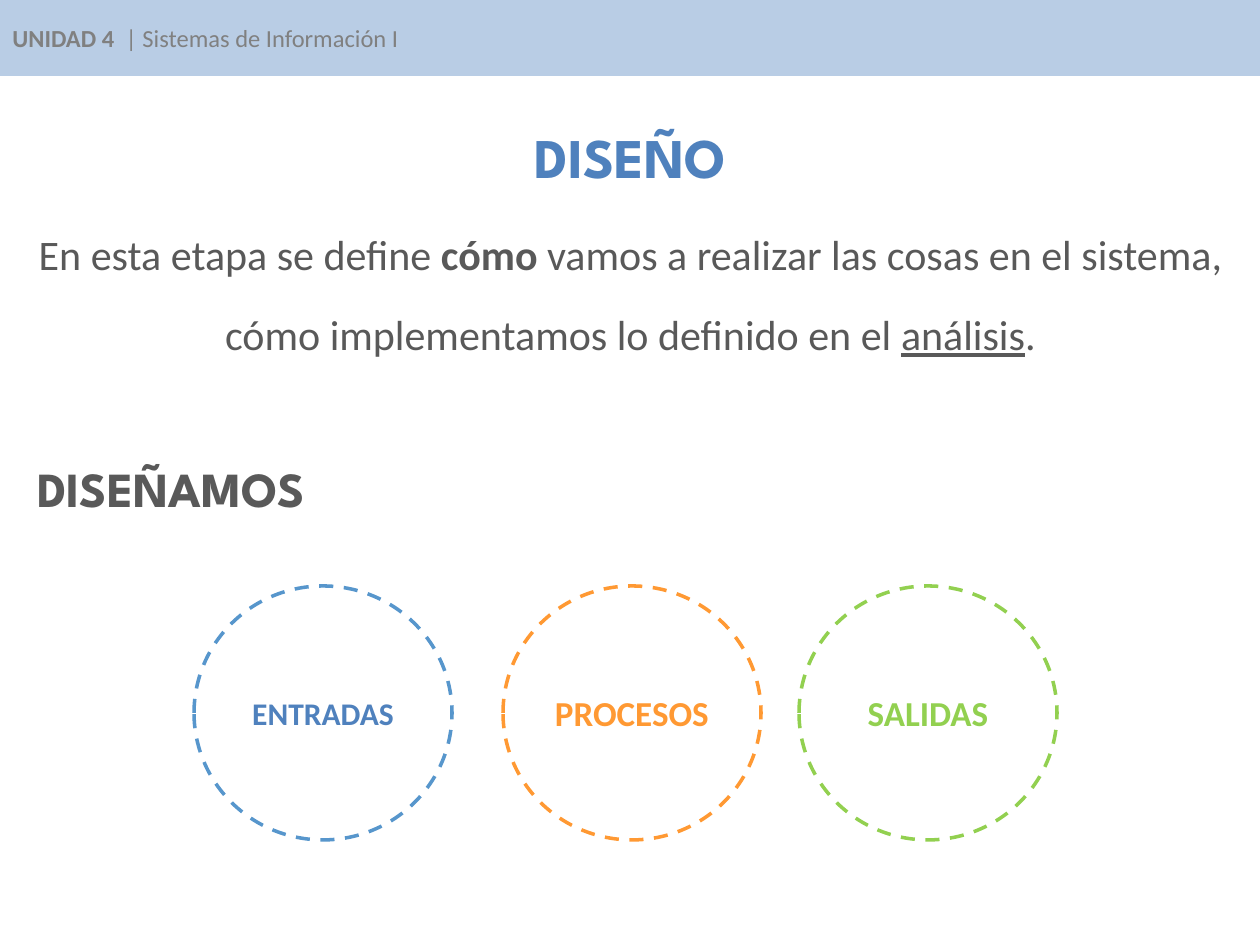
from pptx import Presentation
from pptx.dml.color import RGBColor
from pptx.enum.dml import MSO_LINE
from pptx.enum.shapes import MSO_SHAPE as Shape
from pptx.enum.text import MSO_ANCHOR as Anchor, PP_ALIGN as Align
from pptx.util import Emu, Pt

PX = 914400 // 126  # EMU per px
SLIDE = (1260, 945)

WHITE = RGBColor(0xFF, 0xFF, 0xFF)
PALE_BLUE = RGBColor(0xB9, 0xCD, 0xE5)
BLUE = RGBColor(0x4F, 0x81, 0xBD)
RING_BLUE = RGBColor(0x57, 0x96, 0xCC)
ORANGE = RGBColor(0xFF, 0x99, 0x33)
GREEN = RGBColor(0x92, 0xD0, 0x50)
GREY = RGBColor(0x80, 0x80, 0x80)
DARK = RGBColor(0x59, 0x59, 0x59)
BODY_FONT, TITLE_FONT = "Calibri", "League Spartan"

# Each run is (text, style), where style is "", "b" (bold) or "u" (underlined)
HEADER = [("UNIDAD 4  ", "b"), ("| Sistemas de Información I", "")]
TITLE = [("DISEÑO", "b")]
DEFINITION = [
    ("En esta etapa se define ", ""),
    ("cómo", "b"),
    (" vamos a realizar las cosas en el sistema, "
     "cómo implementamos lo definido en el ", ""),
    ("análisis", "u"),
    (".", ""),
]
SUBTITLE = [("DISEÑAMOS", "b")]

# label, left, text size, ring colour, text colour
CIRCLES = [
    ("ENTRADAS", 194, 18, RING_BLUE, BLUE),
    ("PROCESOS", 503, 20, ORANGE, ORANGE),
    ("SALIDAS", 799, 20, GREEN, GREEN),
]
CIRCLE_TOP, CIRCLE_WIDTH, CIRCLE_HEIGHT = 586, 258, 254


def px(*lengths):
    return [Emu(length * PX) for length in lengths]


def write(para, runs, size, color, font=BODY_FONT, align=Align.CENTER,
          before=0, spacing=1.0):
    para.alignment = align
    para.space_before = Pt(before)
    para.line_spacing = spacing
    for text, style in runs:
        span = para.add_run()
        span.text = text
        span.font.name = font
        span.font.size = Pt(size)
        span.font.color.rgb = color
        span.font.bold = style == "b"
        span.font.underline = style == "u"


def add_filled(slide, kind, place, fill):
    shape = slide.shapes.add_shape(kind, *px(*place))
    shape.shadow.inherit = False
    shape.fill.solid()
    shape.fill.fore_color.rgb = fill
    shape.line.fill.background()
    shape.text_frame.word_wrap = True
    shape.text_frame.vertical_anchor = Anchor.MIDDLE
    return shape


def main():
    deck = Presentation()
    deck.slide_width, deck.slide_height = px(*SLIDE)
    slide = deck.slides.add_slide(deck.slide_layouts[6])

    header = add_filled(slide, Shape.RECTANGLE, (0, 0, SLIDE[0], 76), PALE_BLUE)
    write(header.text_frame.paragraphs[0], HEADER, 14, GREY, align=Align.LEFT)

    body = slide.shapes.add_textbox(*px(25, 116, 1211, 804)).text_frame
    body.word_wrap = True
    write(body.paragraphs[0], TITLE, 32, BLUE, font=TITLE_FONT, before=6.4)
    write(body.add_paragraph(), DEFINITION, 24, DARK, before=4.8, spacing=1.6)
    write(body.add_paragraph(), SUBTITLE, 28, DARK, font=TITLE_FONT,
          align=Align.LEFT, before=57)

    for label, left, size, ring_color, text_color in CIRCLES:
        place = (left, CIRCLE_TOP, CIRCLE_WIDTH, CIRCLE_HEIGHT)
        circle = add_filled(slide, Shape.OVAL, place, WHITE)
        circle.line.color.rgb = ring_color
        circle.line.width = Pt(2)
        circle.line.dash_style = MSO_LINE.DASH
        write(circle.text_frame.paragraphs[0], [(label, "b")], size, text_color)

    deck.save("out.pptx")


if __name__ == "__main__":
    main()
